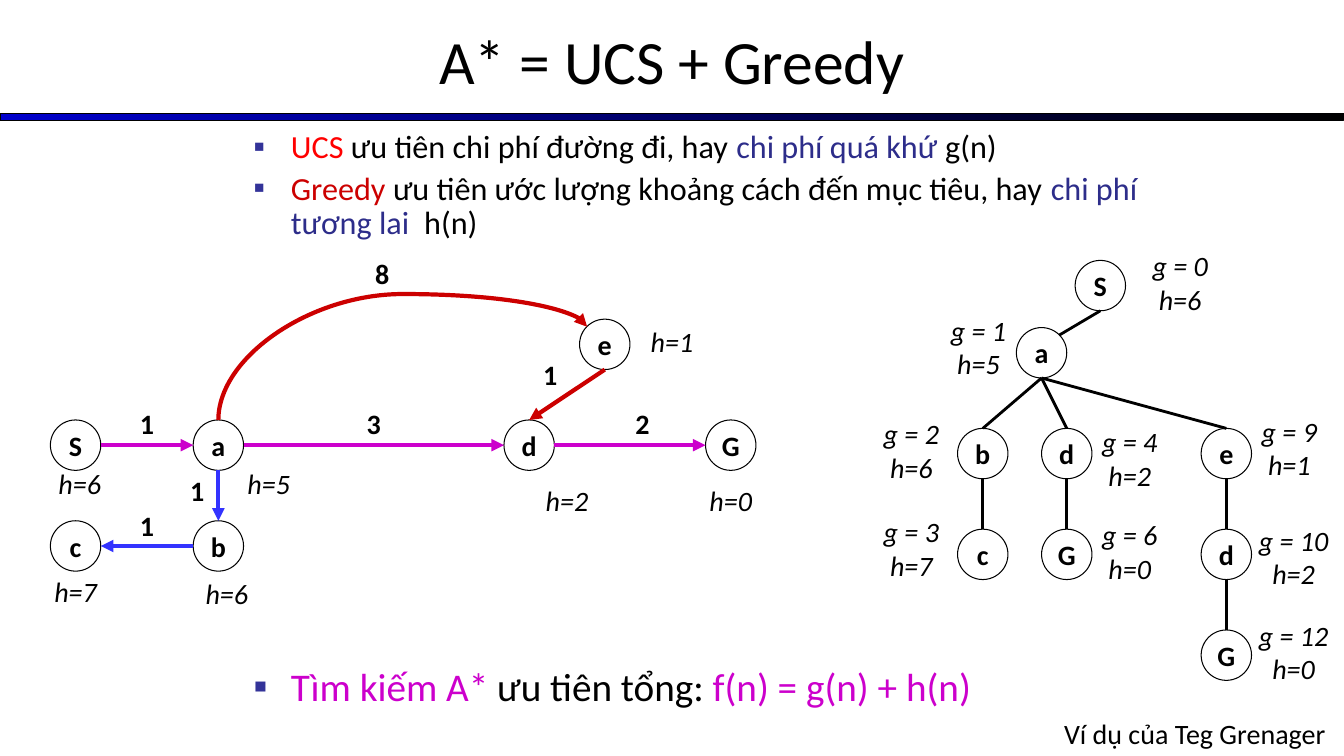
from lxml import etree
from pptx import Presentation
from pptx import util as u
from pptx.dml.color import RGBColor
from pptx.enum import shapes, text
from pptx.oxml.ns import qn

COLS, ROWS = 160, 90
UNIT = u.Inches(1) // 12
SIZE = 6
FONT = "Calibri"
BLACK, WHITE, NAVY = "000000", "FFFFFF", "2D2D8A"
RED, PINK, BLUE = "CC0000", "CC00CC", "3333FF"

TITLE = "A* = UCS + Greedy"
POINTS = [
    (23, 0, [("UCS ", "FF0000"), ("ưu tiên chi phí đường đi, hay ", BLACK),
             ("chi phí quá khứ ", NAVY), ("g(n)", BLACK)]),
    (23, 4.6, [("Greedy ", RED),
               ("ưu tiên ước lượng khoảng cách đến mục tiêu, hay ", BLACK),
               ("chi phí tương lai  ", NAVY), ("h(n)", BLACK)]),
    (28, 304, [("Tìm kiếm A*", PINK), (" ưu tiên tổng: ", BLACK),
               ("f(n) = g(n) + h(n)", PINK)]),
]
CREDIT = "Ví dụ của Teg Grenager"

GRAPH = {"S": (6, 50), "a": (23, 50), "d": (60, 50), "G": (84, 50),
         "b": (23, 62), "c": (6, 62), "e": (69, 38)}
TREE = {"S": (128, 31), "a": (121, 39), "b": (114, 51), "d": (124, 51),
        "e": (143, 51), "c": (114, 63), "G": (124, 63),
        "d2": (143, 63), "G2": (143, 75)}

PORTS = {"top": (0.5, 0), "low": (0.5, 1), "left": (0, 0.5),
         "right": (1, 0.5), "nw": (0.15, 0.15), "ne": (0.85, 0.15)}
ARROWS = [("a", "low", "b", "top", BLUE), ("b", "left", "c", "right", BLUE),
          ("e", "low", "d", "top", RED), ("S", "right", "a", "left", PINK),
          ("a", "right", "d", "left", PINK), ("d", "right", "G", "left", PINK)]
BRANCHES = [("S", "a", "ne"), ("a", "b", "top"), ("a", "d", "top"),
            ("a", "e", "top"), ("b", "c", "top"), ("d", "G", "top"),
            ("e", "d2", "top"), ("d2", "G2", "top")]

COSTS = [("1", 14, 47.8, 7), ("8", 43, 30, 5), ("1", 14, 60, 7),
         ("1", 20, 55.8, 7), ("2", 73, 47.8, 7), ("3", 41, 47.8, 7),
         ("1", 62, 42, 7)]
GUESSES = [("h=5", 26, 55, 12), ("h=6", 22, 68, 10), ("h=2", 63, 57, 9),
           ("h=6", 4, 55, 11), ("h=0", 81, 57, 12), ("h=7", 4, 67.8, 10),
           ("h=1", 75, 38, 10)]
SUMS = [("g = 0 h=6", 135, 29, 11), ("g = 1 h=5", 111, 36.7, 11),
        ("g = 2 h=6", 103, 49, 11), ("g = 3 h=7", 103, 60.7, 11),
        ("g = 4 h=2", 129, 50, 11), ("g = 6 h=0", 129, 61, 11),
        ("g = 9 h=1", 148, 48.7, 11), ("g = 10 h=2", 148, 61.7, 12),
        ("g = 12 h=0", 148, 73, 12)]


def grid(*vals):
    return [u.Emu(round(v * UNIT)) for v in vals]


def color(hue):
    return RGBColor.from_string(hue)


def place(shape, *box):
    shape.left, shape.top, shape.width, shape.height = grid(*box)


def style(par, size, bold=False, slant=False, align=text.PP_ALIGN.CENTER):
    par.alignment = align
    font = par.font
    font.name, font.size = FONT, u.Pt(size)
    font.bold, font.italic = bold, slant
    font.color.rgb = color(BLACK)


def label(words, x, y, wide, high, **look):
    box = slide.shapes.add_textbox(*grid(x, y, wide, high))
    frame = box.text_frame
    frame.word_wrap = True
    frame.text = words
    style(frame.paragraphs[0], 20, **look)


def node(words, x, y):
    dot = slide.shapes.add_shape(shapes.MSO_SHAPE.OVAL, *grid(x, y, SIZE, SIZE))
    dot.shadow.inherit = False
    dot.fill.solid()
    dot.fill.fore_color.rgb = color(WHITE)
    dot.line.color.rgb = color(BLACK)
    dot.line.width = u.Pt(0.75)
    frame = dot.text_frame
    frame.word_wrap = False
    frame.vertical_anchor = text.MSO_ANCHOR.MIDDLE
    frame.text = words
    style(frame.paragraphs[0], 20, bold=True)


def port(spot, side):
    return [at + share * SIZE for at, share in zip(spot, PORTS[side])]


def link(start, end, hue, width, arrow=True, kind=shapes.MSO_CONNECTOR.STRAIGHT):
    edge = slide.shapes.add_connector(kind, *grid(*start, *end))
    edge.line.color.rgb = color(hue)
    edge.line.width = u.Pt(width)
    props = edge.element.spPr
    if arrow:
        etree.SubElement(props.find(qn("a:ln")), qn("a:tailEnd"), type="triangle")
    etree.SubElement(props, qn("a:effectLst"))
    return edge


def arc(start, end, rise, hue):
    (x1, y1), (x2, y2) = start, end
    mid, level = (x1 + x2) / 2, (y1 + y2) / 2
    dx, dy = (y1 - y2) / 2, (x2 - x1) / 2
    edge = link((mid - dx, level - dy), (mid + dx, level + dy), hue, 3,
                kind=shapes.MSO_CONNECTOR.CURVE)
    props = edge.element.spPr
    props.find(qn("a:xfrm")).set("rot", str(270 * 60000))
    geom = props.find(qn("a:prstGeom"))
    bends = geom.find(qn("a:avLst"))
    if bends is None:
        bends = etree.SubElement(geom, qn("a:avLst"))
    share = round(rise / (y1 - y2) * 100000)
    etree.SubElement(bends, qn("a:gd"), name="adj1", fmla=f"val {share}")


def bullet(par):
    props = par._p.get_or_add_pPr()
    indent = u.Inches(0.37)
    props.set("marL", str(indent))
    props.set("indent", str(-indent))
    tint = etree.SubElement(props, qn("a:buClr"))
    etree.SubElement(tint, qn("a:srgbClr"), val="333399")
    etree.SubElement(props, qn("a:buFont"), typeface=FONT)
    etree.SubElement(props, qn("a:buChar"), char="▪")


deck = Presentation()
deck.slide_width, deck.slide_height = grid(COLS, ROWS)
slide = deck.slides.add_slide(deck.slide_layouts[1])

head, body = slide.placeholders
place(head, 0, -0.4, COLS, 15)
head.text_frame.text = TITLE
head.text_frame.vertical_anchor = text.MSO_ANCHOR.MIDDLE
style(head.text_frame.paragraphs[0], 44)

place(body, 29, 15, 108, 66)
frame = body.text_frame
frame.auto_size = text.MSO_AUTO_SIZE.NONE
for i, (size, gap, parts) in enumerate(POINTS):
    par = frame.add_paragraph() if i else frame.paragraphs[0]
    par.line_spacing, par.space_before = 0.9, u.Pt(gap)
    bullet(par)
    style(par, size, align=text.PP_ALIGN.LEFT)
    for words, hue in parts:
        run = par.add_run()
        run.text = words
        run.font.color.rgb = color(hue)

bar = slide.shapes.add_shape(shapes.MSO_SHAPE.RECTANGLE, *grid(0, 13.5, COLS, 0.85))
bar.shadow.inherit = False
bar.fill.gradient()
bar.fill.gradient_angle = 0
for stop, hue in zip(bar.fill.gradient_stops, ("0000CC", BLACK)):
    stop.color.rgb = color(hue)
bar.line.color.rgb = color(BLACK)
bar.line.width = u.Pt(0.75)

for spots in (GRAPH, TREE):
    for name, spot in spots.items():
        node(name[0], *spot)
for a, out, b, into, hue in ARROWS:
    link(port(GRAPH[a], out), port(GRAPH[b], into), hue, 3)
arc(port(GRAPH["a"], "top"), port(GRAPH["e"], "nw"), 15, RED)
for a, b, into in BRANCHES:
    link(port(TREE[a], "low"), port(TREE[b], into), BLACK, 2, arrow=False)

for words, *spot in COSTS:
    label(words, *spot, 5.2, bold=True)
for words, *spot in GUESSES:
    label(words, *spot, 5.2, slant=True)
for words, *spot in SUMS:
    label(words, *spot, 9.2, slant=True)
label(CREDIT, 122, 84.7, 37, 5.3, align=text.PP_ALIGN.RIGHT)

deck.save("out.pptx")
